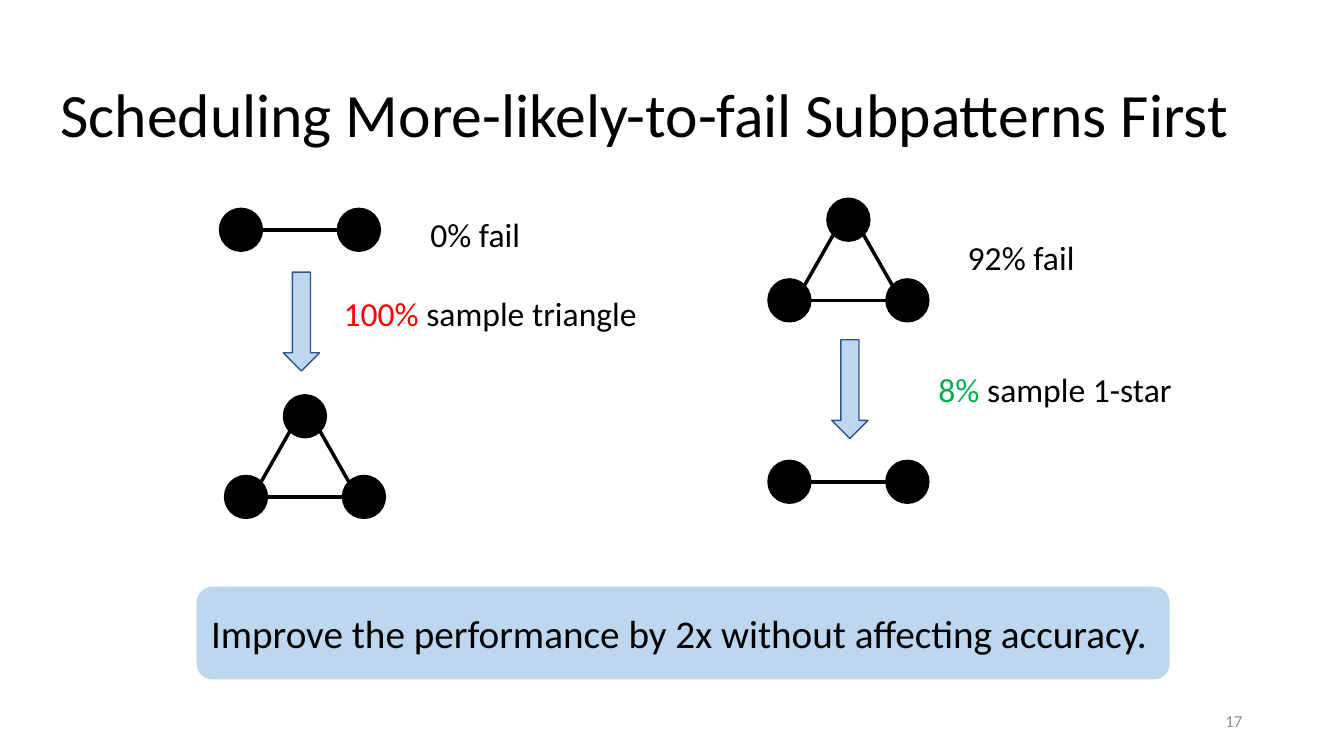
from math import hypot

from lxml import etree
from pptx import Presentation
from pptx.dml.color import RGBColor
from pptx.enum.shapes import MSO_CONNECTOR, MSO_SHAPE
from pptx.enum.text import MSO_ANCHOR, MSO_AUTO_SIZE, PP_ALIGN
from pptx.oxml.ns import qn
from pptx.util import Inches, Pt

LINE = MSO_CONNECTOR.STRAIGHT
OVAL, DOWN, BANNER = MSO_SHAPE.OVAL, MSO_SHAPE.DOWN_ARROW, MSO_SHAPE.ROUNDED_RECTANGLE
MIDDLE, NO_FIT = MSO_ANCHOR.MIDDLE, MSO_AUTO_SIZE.NONE
LEFT, RIGHT = PP_ALIGN.LEFT, PP_ALIGN.RIGHT

BLACK, BLUE, NAVY = "000000", "BDD7EE", "325491"
RED, GREEN, GREY = "FF0000", "00B050", "8C8C8C"
TITLE_ONLY = 5


def rgb(value):
    return RGBColor.from_string(value)


class Deck:
    """Draws on one slide; lengths are cells of a tenth-of-an-inch grid."""

    font = "Calibri"
    cell = Inches(0.1)
    radius = 2.13
    span, rise = 11.7, 8

    def __init__(self, prs):
        self.slide = prs.slides.add_slide(prs.slide_layouts[TITLE_ONLY])
        self.shapes = self.slide.shapes

    def grid(self, *cells):
        return [round(c * self.cell) for c in cells]

    def set_text(self, tf, runs, size, align=LEFT):
        p = tf.paragraphs[0]
        p.alignment = align
        p.font.name, p.font.size = self.font, Pt(size)
        for text, color in runs:
            r = p.add_run()
            r.text = text
            r.font.color.rgb = rgb(color)
        return p

    def title(self, text, *box):
        sp = self.shapes.title
        sp.left, sp.top, sp.width, sp.height = self.grid(*box)
        tf = sp.text_frame
        tf.vertical_anchor, tf.auto_size = MIDDLE, NO_FIT
        self.set_text(tf, [(text, BLACK)], 44).line_spacing = 0.9

    def label(self, runs, *box, size=24, align=LEFT, wrap=False):
        tf = self.shapes.add_textbox(*self.grid(*box)).text_frame
        tf.word_wrap = wrap
        if wrap:
            tf.vertical_anchor = MIDDLE
        self.set_text(tf, runs, size, align)

    def shape(self, kind, *box, fill, line=None):
        sp = self.shapes.add_shape(kind, *self.grid(*box))
        sp.shadow.inherit = False
        sp.fill.solid()
        sp.fill.fore_color.rgb = rgb(fill)
        if line:
            sp.line.color.rgb = rgb(line)
            sp.line.width = Pt(1)
        else:
            sp.line.fill.background()
        return sp

    def banner(self, text, *box):
        tf = self.shape(BANNER, *box, fill=BLUE).text_frame
        tf.word_wrap, tf.vertical_anchor = True, MIDDLE
        self.set_text(tf, [(text, BLACK)], 28)

    def arrow(self, x, y):
        self.shape(DOWN, x, y, 3.6, 9.8, fill=BLUE, line=NAVY)

    def node(self, x, y):
        r = self.radius
        self.shape(OVAL, x - r, y - r, 2 * r, 2 * r, fill=BLACK, line=BLACK)

    def edge(self, start, end, toward):
        dx, dy = (self.radius * d / hypot(*toward) for d in toward)
        ends = self.grid(start[0] + dx, start[1] + dy, end[0] - dx, end[1] - dy)
        line = self.shapes.add_connector(LINE, *ends)
        line.line.color.rgb = rgb(BLACK)
        line.line.width = Pt(2.5)
        etree.SubElement(line._element.spPr, qn("a:effectLst"))

    def star(self, x, y):
        left, right = (x, y), (x + self.span, y)
        self.node(*left)
        self.node(*right)
        self.edge(left, right, (1, 0))
        return left, right

    def triangle(self, x, y):
        left, right = self.star(x, y)
        apex = (x + self.span / 2, y - self.rise)
        self.node(*apex)
        self.edge(apex, left, (-1, 1))
        self.edge(apex, right, (1, 1))


def main():
    prs = Presentation()
    prs.slide_width, prs.slide_height = Inches(13.33), Inches(7.5)
    deck = Deck(prs)
    deck.title("Scheduling More-likely-to-fail Subpatterns First", 5, 4.4, 123.3, 14.5)
    deck.banner("Improve the performance by 2x without affecting accuracy.",
                19.5, 58.2, 96.5, 9.2)

    deck.star(23.9, 22.8)
    deck.arrow(28.1, 27)
    deck.triangle(24.4, 49.3)
    deck.label([("0% fail", BLACK)], 41.7, 20.7, 11, 5)
    deck.label([("100% ", RED), ("sample triangle", BLACK)], 33.1, 28.6, 31.3, 5)

    deck.triangle(78.3, 29.8)
    deck.arrow(82.5, 33.7)
    deck.star(78.3, 47.8)
    deck.label([("92% fail", BLACK)], 95, 23, 12.7, 5)
    deck.label([("8% ", GREEN), ("sample 1-star", BLACK)], 92.1, 36.1, 25.3, 5)

    deck.label([("17", GREY)], 94.2, 69.5, 30, 4, size=12, align=RIGHT, wrap=True)
    prs.save("out.pptx")


if __name__ == "__main__":
    main()
